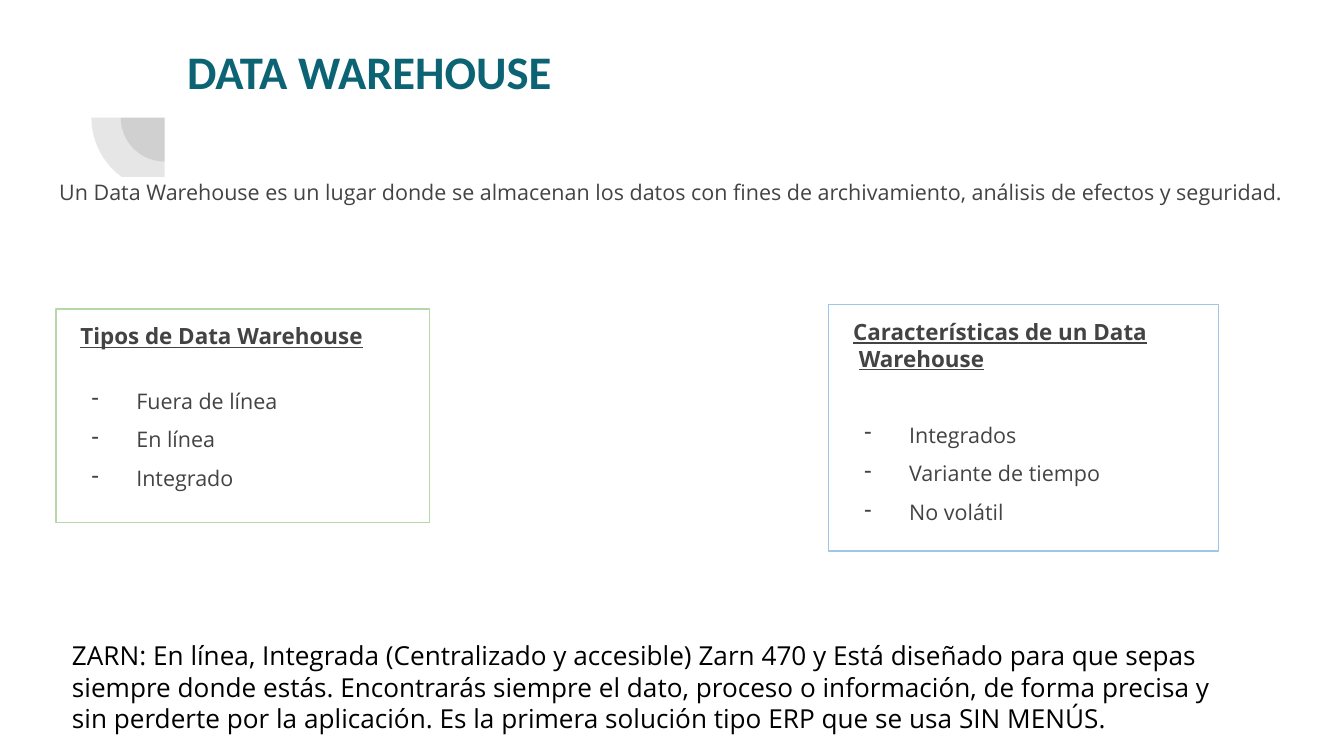
from lxml.etree import SubElement
from pptx import Presentation
from pptx.dml.color import RGBColor
from pptx.enum.shapes import MSO_SHAPE as Preset
from pptx.enum.text import MSO_ANCHOR as Anchor, MSO_AUTO_SIZE as AutoSize, PP_ALIGN as Align
from pptx.oxml.ns import qn
from pptx.util import Pt

WHITE = RGBColor(0xFF, 0xFF, 0xFF)
BLACK = RGBColor(0, 0, 0)
GRAY = RGBColor(0x43, 0x43, 0x43)
PIE_GRAY = RGBColor(0x42, 0x42, 0x42)
TEAL = RGBColor(0x0B, 0x63, 0x74)
GREEN = RGBColor(0xB6, 0xD7, 0xA8)
BLUE = RGBColor(0x9F, 0xC5, 0xE8)

BODY_FONT = dict(name="Open Sans", size=Pt(11.5), bold=False)
HEADING_FONT = dict(name="Open Sans", size=Pt(12), bold=True, underline=True)
TITLE_FONT = dict(name="Calibri", size=Pt(25), bold=True)
NOTE_FONT = dict(name="Open Sans", size=Pt(14), bold=False)
PLAIN = dict(alignment=Align.LEFT, space_before=Pt(0), space_after=Pt(0), line_spacing=1.0)
FRAME = dict(word_wrap=True, auto_size=AutoSize.NONE, vertical_anchor=Anchor.TOP,
             margin_left=Pt(7.2), margin_right=Pt(7.2), margin_top=Pt(7.2), margin_bottom=Pt(7.2))

TYPES = ["Fuera de línea", "En línea", "Integrado"]
FEATURES = ["Integrados", "Variante de tiempo", "No volátil"]
DEFINITION = ("Un Data Warehouse es un lugar donde se almacenan los datos con fines de "
              "archivamiento, análisis de efectos y seguridad.")
NOTE = ("ZARN: En línea, Integrada (Centralizado y accesible) Zarn 470 y Está diseñado para que "
        "sepas siempre donde estás. Encontrarás siempre el dato, proceso o información, de forma "
        "precisa y sin perderte por la aplicación. Es la primera solución tipo ERP que se usa SIN MENÚS.")


def apply(target, values):
    """Set every attribute named in values on the target."""
    for name, value in values.items():
        setattr(target, name, value)


def place(shape, box):
    """Move a shape to a box of left, top, width and height in points."""
    apply(shape, dict(zip(("left", "top", "width", "height"), map(Pt, box))))


def write(paragraph, text, font, color, layout=PLAIN, margin=0, indent=0, bullet=None, highlight=False):
    """Fill a paragraph with one formatted run, with optional bullet and highlight."""
    apply(paragraph, layout)
    properties = paragraph._p.get_or_add_pPr()
    properties.set("marL", str(Pt(margin)))
    properties.set("indent", str(Pt(indent)))
    if bullet:
        bullet_color = SubElement(properties, qn("a:buClr"))
        SubElement(bullet_color, qn("a:srgbClr"), val=str(color))
        SubElement(properties, qn("a:buChar"), char=bullet)
    else:
        SubElement(properties, qn("a:buNone"))
    run = paragraph.add_run()
    run.text = text
    apply(run.font, font)
    run.font.color.rgb = color
    if highlight:
        mark = SubElement(run.font._element, qn("a:highlight"))
        SubElement(mark, qn("a:srgbClr"), val=str(WHITE))
        run.font._element.find(qn("a:solidFill")).addnext(mark)


def add_title(slide, box):
    """Place the slide title."""
    title = slide.shapes.title
    place(title, box)
    apply(title.text_frame, {**FRAME, "margin_top": Pt(11.5)})
    write(title.text_frame.paragraphs[0], "DATA WAREHOUSE", TITLE_FONT, TEAL, margin=63)


def add_definition(slide, box):
    """Place the one-line definition in the body placeholder."""
    body = slide.placeholders[1]
    place(body, box)
    apply(body.text_frame, FRAME)
    write(body.text_frame.paragraphs[0], DEFINITION, BODY_FONT, GRAY, highlight=True)


def add_quarter_circles(slide, box):
    """Place two concentric translucent quarter circles behind the text."""
    left, top, width, height = box
    for scale in (1, 0.6):
        margin = (1 - scale) / 2
        pie = slide.shapes.add_shape(Preset.PIE, Pt(left + width * margin), Pt(top + height * margin),
                                     Pt(width * scale), Pt(height * scale))
        pie.adjustments[0], pie.adjustments[1] = 108, 162
        pie.rotation = 270
        pie.shadow.inherit = False
        pie.line.fill.background()
        pie.fill.solid()
        pie.fill.fore_color.rgb = PIE_GRAY
        SubElement(pie.element.spPr.find(".//" + qn("a:srgbClr")), qn("a:alpha"), val="13000")
        pie.element.getparent().insert(2, pie.element)


def add_list_card(slide, box, border, heading, items, gap):
    """Place an outlined card with an underlined heading and a dashed list."""
    card = slide.shapes.add_shape(Preset.RECTANGLE, *map(Pt, box))
    card.shadow.inherit = False
    card.fill.background()
    card.line.color.rgb = border
    card.line.width = Pt(0.75)
    frame = card.text_frame
    apply(frame, FRAME)
    for number, line in enumerate(heading):
        paragraph = frame.add_paragraph() if number else frame.paragraphs[0]
        write(paragraph, line, HEADING_FONT, GRAY, margin=6 + 3 * number, highlight=True)
    for number, item in enumerate(items):
        layout = {**PLAIN, "line_spacing": 1.5, "space_before": Pt(0 if number else gap)}
        write(frame.add_paragraph(), item, BODY_FONT, GRAY, layout,
              margin=36, indent=-24, bullet="-", highlight=True)


def add_note(slide, box):
    """Place the closing note."""
    note = slide.shapes.add_textbox(*map(Pt, box))
    apply(note.text_frame, FRAME)
    write(note.text_frame.paragraphs[0], NOTE, NOTE_FONT, BLACK)


def main():
    """Build the slide and save it."""
    presentation = Presentation()
    apply(presentation, dict(slide_width=Pt(720), slide_height=Pt(405)))
    slide = presentation.slides.add_slide(presentation.slide_layouts[1])
    add_title(slide, (30, 11.5, 553.5, 121))
    add_definition(slide, (24.5, 88.5, 671, 34.5))
    add_quarter_circles(slide, (49, 23.75, 78.5, 78.5))
    add_list_card(slide, (30, 165.5, 200, 114.5), GREEN, ["Tipos de Data Warehouse"], TYPES, 13.8)
    add_list_card(slide, (444, 163.25, 208.75, 132), BLUE,
                  ["Características de un Data", "Warehouse"], FEATURES, 19.8)
    add_note(slide, (31.5, 335.5, 636.5, 50.5))
    presentation.save("out.pptx")


if __name__ == "__main__":
    main()
